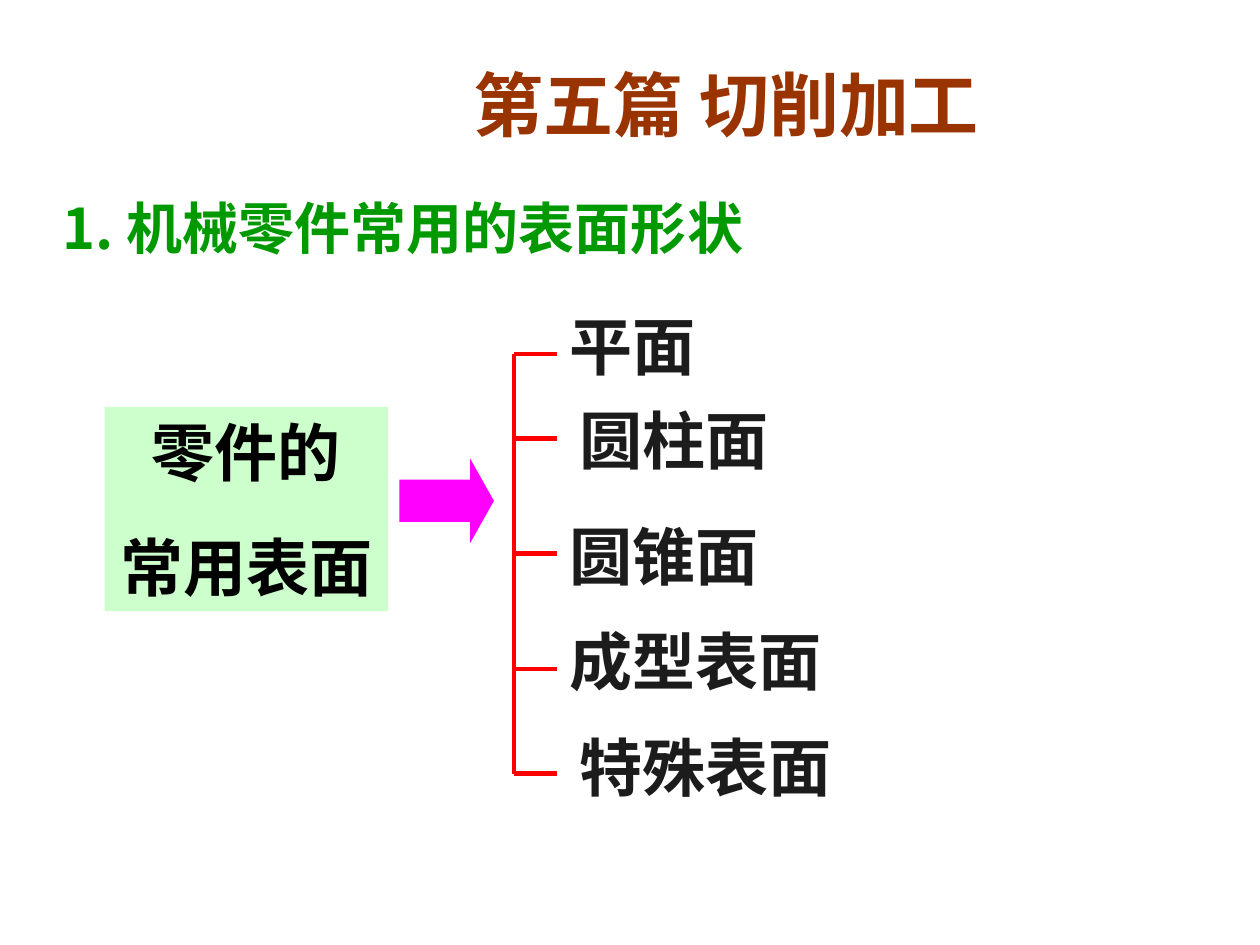
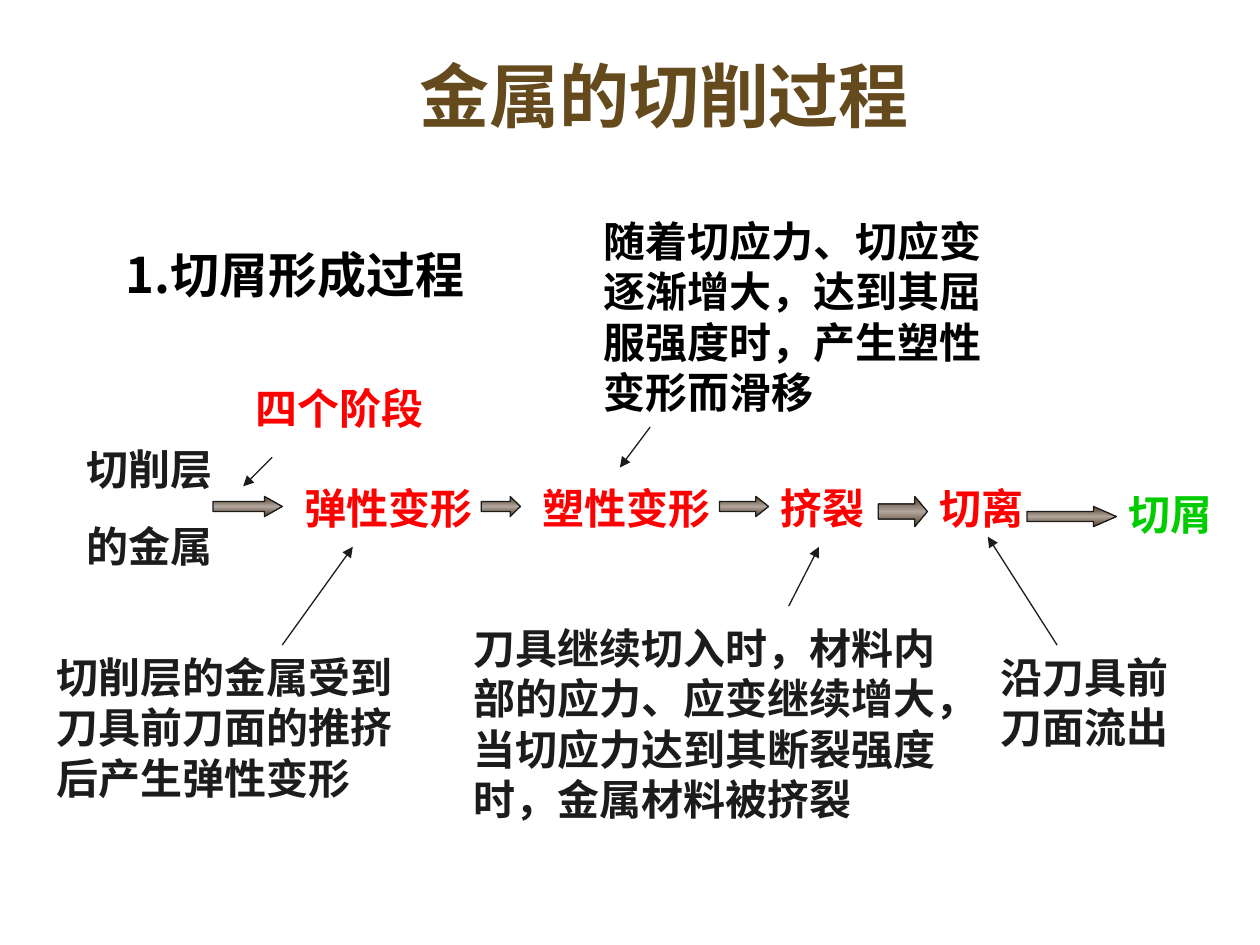
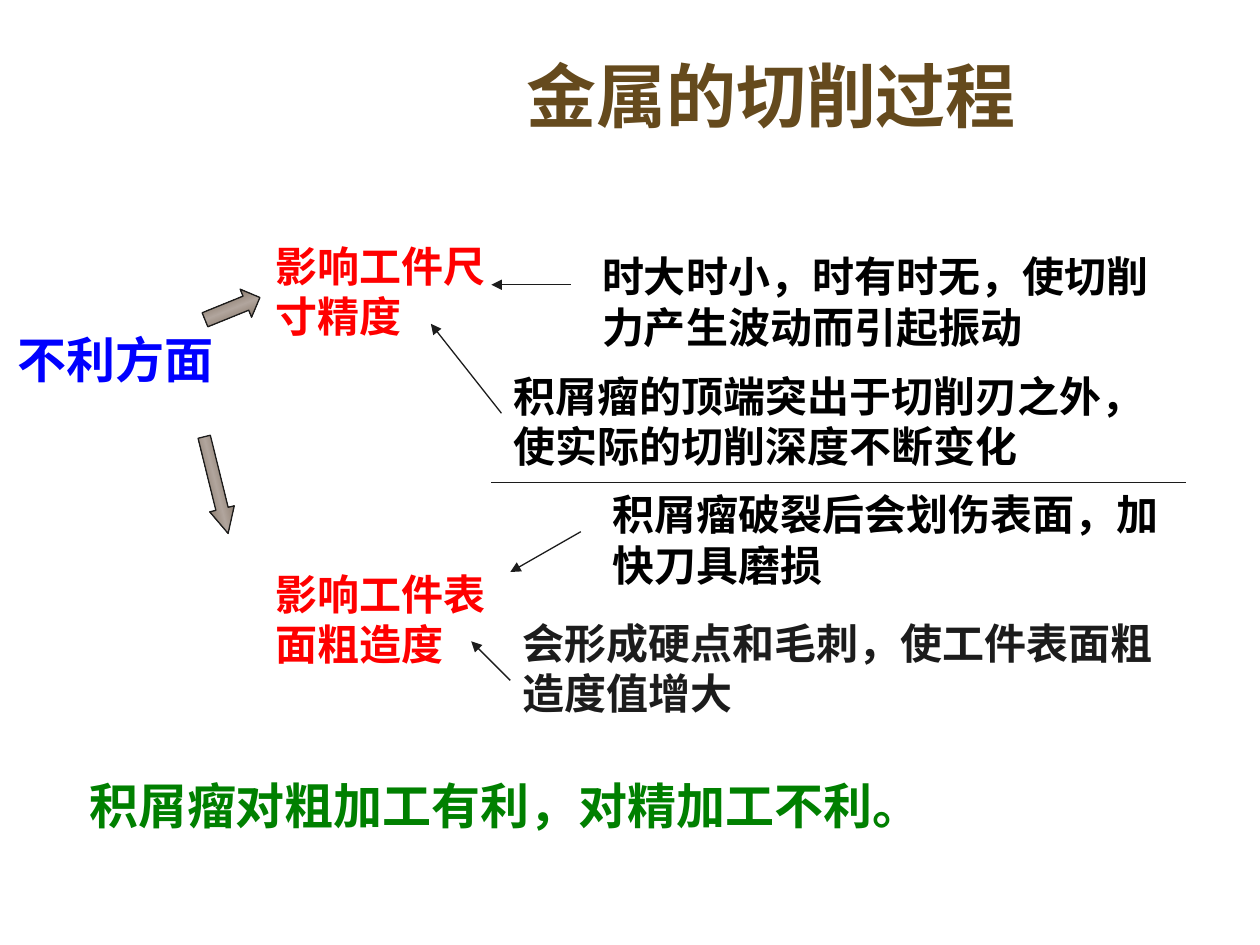
from copy import deepcopy

from lxml import etree
from pptx import Presentation
from pptx.dml.color import RGBColor
from pptx.enum.shapes import MSO_CONNECTOR, MSO_SHAPE
from pptx.enum.text import MSO_ANCHOR, PP_ALIGN
from pptx.oxml.ns import qn
from pptx.util import Inches, Pt

COLORS = {
    "rust": "993300", "brown": "654A1D", "heading": "009900",
    "black": "000000", "ink": "1C1C1C", "red": "FF0000", "blue": "0000FF",
    "chip": "00CC00", "conclusion": "008000", "mint": "CCFFCC",
    "magenta": "FF00FF", "bronze": "523E26", "silver": "B1A59D",
}
CJK_FONT = "Noto Sans CJK SC"
PROCESS_TITLE = "金属的切削过程"


def rgb(name):
    return RGBColor.from_string(COLORS[name])


def write(shape, lines, size, color, font, align=PP_ALIGN.LEFT, exact=True):
    """Fill a shape with bold text; later paragraphs get space before."""
    frame = shape.text_frame
    frame.word_wrap = True
    frame.text = lines
    for index, paragraph in enumerate(frame.paragraphs):
        paragraph.alignment = align
        if exact:
            paragraph.line_spacing = Pt(size * 1.2)
        if index:
            paragraph.space_before = Pt(size * 0.625)
        for run in paragraph.runs:
            run.font.size = Pt(size)
            run.font.bold = True
            run.font.name = font
            run.font.color.rgb = rgb(color)
            east_asian = etree.SubElement(run.font._element, qn("a:ea"))
            east_asian.set("typeface", CJK_FONT)
    return frame


def add_label(slide, text, left, top, width, height,
              size=24, color="ink", font="Arial"):
    box = slide.shapes.add_textbox(
        Inches(left), Inches(top), Inches(width), Inches(height))
    frame = write(box, text, size, color, font)
    frame.vertical_anchor = MSO_ANCHOR.TOP


def add_title(slide, text, left, top, width, height,
              color="brown", font="Cabin", align=PP_ALIGN.LEFT):
    box = slide.shapes.add_textbox(
        Inches(left), Inches(top), Inches(width), Inches(height))
    frame = write(box, text, 40, color, font, align, exact=False)
    frame.vertical_anchor = MSO_ANCHOR.MIDDLE


def add_block(slide, kind, left, top, width, height, color):
    block = slide.shapes.add_shape(
        kind, Inches(left), Inches(top), Inches(width), Inches(height))
    block.shadow.inherit = False
    block.fill.solid()
    block.fill.fore_color.rgb = rgb(color)
    block.line.fill.background()
    return block


def add_metal_arrow(slide, left, top, width, height, head, rotation=0):
    """Block arrow with a dark-light-dark gradient across its shaft."""
    arrow = add_block(slide, MSO_SHAPE.RIGHT_ARROW,
                      left, top, width, height, "bronze")
    arrow.adjustments[0] = 0.5
    arrow.adjustments[1] = head
    arrow.rotation = rotation
    arrow.line.color.rgb = rgb("ink")
    arrow.line.width = Pt(0.75)
    arrow.fill.gradient()
    arrow.fill.gradient_angle = 90
    stops = arrow._element.spPr.find(qn("a:gradFill")).find(qn("a:gsLst"))
    stops.insert(1, deepcopy(stops[0]))
    for stop, position, color in zip(arrow.fill.gradient_stops, (0, 0.5, 1),
                                     ("bronze", "silver", "bronze")):
        stop.position = position
        stop.color.rgb = rgb(color)


def add_line(slide, start, end, color="ink", width=0.75, pointer=False):
    line = slide.shapes.add_connector(
        MSO_CONNECTOR.STRAIGHT, *(Inches(value) for value in (*start, *end)))
    line.line.color.rgb = rgb(color)
    line.line.width = Pt(width)
    if pointer:
        tail = etree.SubElement(line.line._get_or_add_ln(), qn("a:tailEnd"))
        tail.set("type", "triangle")
    etree.SubElement(line._element.spPr, qn("a:effectLst"))


def add_pointers(slide, routes):
    for start, end in routes:
        add_line(slide, start, end, pointer=True)


def build_surfaces(slide):
    add_title(slide, "第五篇 切削加工", 3.66, 0.44, 4.96, 0.76,
              "rust", CJK_FONT)
    add_label(slide, "1. 机械零件常用的表面形状", 0.4, 1.49, 6, 0.64,
              32, "heading", CJK_FONT)

    # Topic and arrow to its branches
    topic = add_block(slide, MSO_SHAPE.RECTANGLE,
                      0.83, 3.23, 2.25, 1.62, "mint")
    frame = write(topic, "零件的\n常用表面", 36, "black",
                  "Times New Roman", PP_ALIGN.CENTER)
    frame.vertical_anchor = MSO_ANCHOR.TOP
    arrow = add_block(slide, MSO_SHAPE.RIGHT_ARROW,
                      3.17, 3.64, 0.75, 0.67, "magenta")
    arrow.adjustments[1] = 0.281

    # Bracket with one tick per surface
    spine, tick_end = 4.08, 4.42
    surfaces = [
        ("平面", 4.42, 2.39, 2.81),
        ("圆柱面", 4.5, 3.14, 3.48),
        ("圆锥面", 4.42, 4.06, 4.39),
        ("成型表面", 4.42, 4.89, 5.31),
        ("特殊表面", 4.5, 5.73, 6.14),
    ]
    add_line(slide, (spine, surfaces[0][-1]), (spine, surfaces[-1][-1]),
             "red", 2.75)
    for surface, left, top, tick in surfaces:
        add_line(slide, (spine, tick), (tick_end, tick), "red", 2.75)
        add_label(slide, surface, left, top, 2.33, 0.7,
                  36, font="Times New Roman")


def build_chip_formation(slide):
    add_title(slide, PROCESS_TITLE, 3.23, 0.1, 4.77, 1.3)
    add_label(slide, "1.切屑形成过程", 0.9, 1.89, 3.47, 0.57,
              28, "black", CJK_FONT)

    # Material, four stages, chip
    add_label(slide, "切削层\n的金属", 0.59, 3.47, 1.81, 1.11)
    add_label(slide, "四个阶段", 1.93, 2.99, 1.6, 0.5, color="red")
    for stage, left, width in [("弹性变形", 2.32, 1.97),
                               ("塑性变形", 4.21, 2.28),
                               ("挤裂", 6.1, 1.1), ("切离", 7.36, 1.26)]:
        add_label(slide, stage, left, 3.78, width, 0.5, color="red")
    add_label(slide, "切屑", 8.86, 3.83, 1.02, 0.5, color="chip")
    for left, top, width, height, head in [
            (1.69, 3.94, 0.55, 0.16, 0.883), (3.82, 3.94, 0.31, 0.16, 0.504),
            (5.71, 3.94, 0.39, 0.16, 0.632), (6.97, 3.94, 0.39, 0.24, 0.418),
            (8.15, 4.02, 0.71, 0.16, 1.133)]:
        add_metal_arrow(slide, left, top, width, height, head)

    # Explanations of the stages
    add_label(slide, "切削层的金属受到刀具前刀面的推挤后产生弹性变形",
              0.35, 5.12, 2.91, 1.3)
    add_label(slide, "随着切应力、切应变逐渐增大，达到其屈服强度时，产生塑性变形而滑移",
              4.69, 1.66, 3.23, 1.7, color="black")
    add_label(slide, "刀具继续切入时，材料内部的应力、应变继续增大，"
              "当切应力达到其断裂强度时，金属材料被挤裂",
              3.66, 4.89, 4.02, 1.7)
    add_label(slide, "沿刀具前刀面流出", 7.84, 5.12, 1.65, 0.9)
    add_pointers(slide, [
        ((2.24, 5.12), (2.8, 4.34)), ((5.16, 3.39), (4.92, 3.71)),
        ((6.26, 4.81), (6.5, 4.34)), ((8.39, 5.12), (7.84, 4.26)),
        ((2.16, 3.63), (1.93, 3.86))])


def build_drawbacks(slide):
    add_title(slide, PROCESS_TITLE, 2.83, 0.1, 6.58, 1.3,
              align=PP_ALIGN.CENTER)

    # Drawbacks and their two effects
    add_label(slide, "不利方面", 0.04, 2.57, 2.05, 0.57, 28, "blue")
    add_label(slide, "影响工件尺寸精度", 2.09, 1.86, 1.89, 0.9, color="red")
    add_label(slide, "影响工件表面粗造度", 2.09, 4.46, 1.97, 0.9, color="red")
    add_metal_arrow(slide, 1.61, 2.33, 0.47, 0.24, 0.5, 337.9)
    add_metal_arrow(slide, 1.32, 3.75, 0.79, 0.2, 1.003, 76.1)

    # Causes on either side of the divider
    for cause, left, top, width, color in [
            ("时大时小，时有时无，使切削力产生波动而引起振动",
             4.68, 1.94, 4.57, "black"),
            ("积屑瘤的顶端突出于切削刃之外，使实际的切削深度不断变化",
             3.98, 2.89, 5.2, "black"),
            ("积屑瘤破裂后会划伤表面，加快刀具磨损",
             4.76, 3.83, 4.57, "black"),
            ("会形成硬点和毛刺，使工件表面粗造度值增大",
             4.05, 4.85, 5.36, "ink")]:
        add_label(slide, cause, left, top, width, 0.9, color=color)
    add_pointers(slide, [
        ((4.53, 2.26), (3.9, 2.26)), ((3.98, 3.28), (3.42, 2.57)),
        ((4.61, 4.22), (4.05, 4.54)), ((4.05, 5.4), (3.74, 5.09))])
    add_line(slide, (3.9, 3.83), (9.41, 3.83))

    # Conclusion
    add_label(slide, "积屑瘤对粗加工有利，对精加工不利。",
              0.61, 6.11, 7, 0.57, 28, "conclusion")


def main():
    deck = Presentation()
    deck.slide_width = Inches(10)
    deck.slide_height = Inches(7.5)
    blank = deck.slide_layouts[6]
    for build in (build_surfaces, build_chip_formation, build_drawbacks):
        build(deck.slides.add_slide(blank))
    deck.save("out.pptx")


if __name__ == "__main__":
    main()
